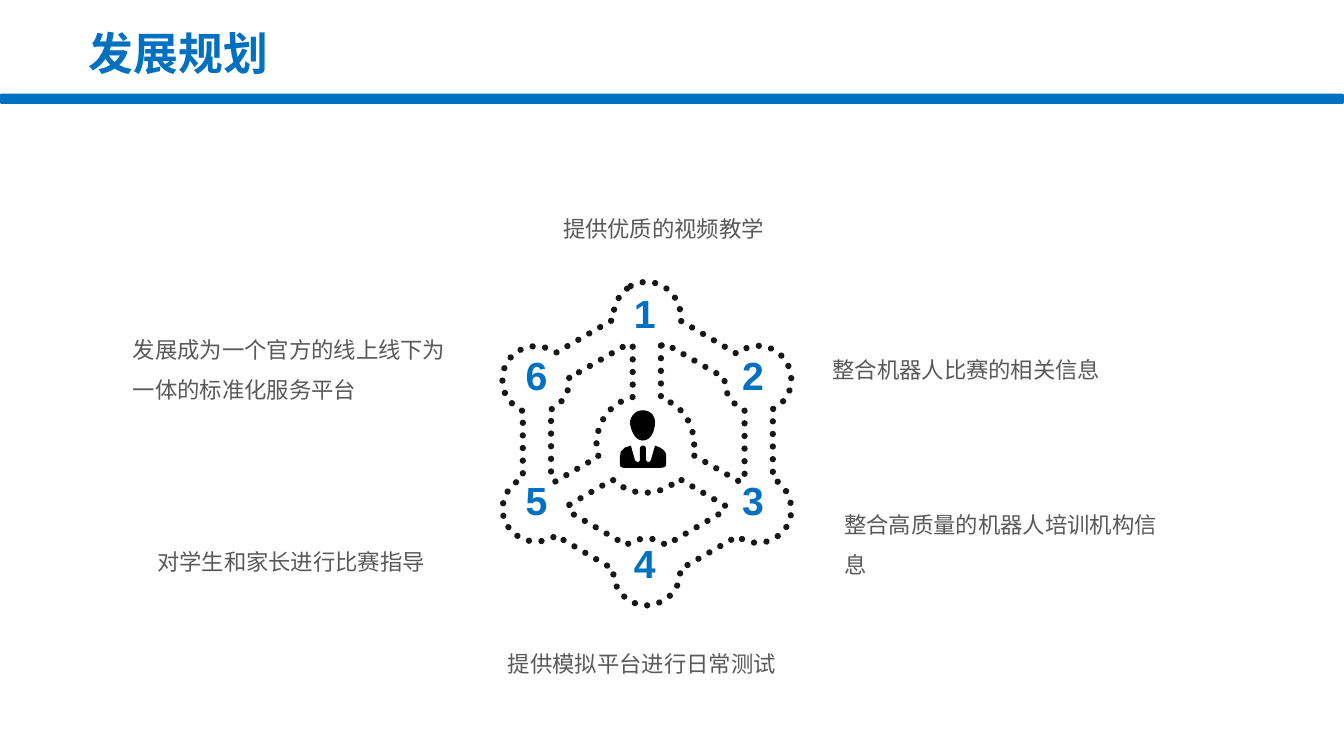
import math

import lxml.etree
import pptx
import pptx.dml.color
import pptx.enum.dml
import pptx.enum.shapes
import pptx.enum.text
import pptx.oxml.ns
import pptx.util

Cm = pptx.util.Cm
BLUE = "0070C0"
CHINESE_FONT = "Noto Sans CJK SC"
UNITS_PER_INCH = 100

LOWER_GAP = """
66,221 C 67,223 67,226 66,228 L 123,261 C 124,260 125,259 126,259
C 138,252 152,253 162,261 L 220,227 L 221,222 L 175,195
C 166,204 154,209 141,209 C 129,209 118,204 109,196
"""
RIGHT_GAP = """
157,63 L 157,115 C 176,121 190,139 190,161 C 190,164 189,168 188,171
L 235,198 C 235,197 236,197 237,196 L 240,195 L 240,127
C 234,124 228,120 224,113 C 221,107 220,101 220,95 L 161,61
C 161,61 160,62 160,62
"""
LEFT_GAP = """
66,95 C 67,107 61,119 49,126 L 48,126 L 48,195 L 52,198 L 95,173
C 94,169 93,165 93,161 C 93,138 108,119 129,114 L 129,63
C 128,62 126,62 125,61
"""
OUTER_EDGE = """
127,4 C 143,-5 163,1 172,17 C 176,23 177,31 176,38 L 232,71
C 234,69 235,68 237,68 C 252,58 273,64 282,80 C 291,96 286,116 270,125
L 268,126 L 268,195 C 274,198 279,203 282,209 C 291,225 286,245 270,254
C 258,261 243,260 233,252 L 176,285 C 177,297 171,310 159,316
C 144,326 123,320 114,304 C 111,298 109,291 110,285 L 52,251
C 52,252 51,253 50,253 C 34,262 14,257 4,241 C -5,225 1,205 17,196
L 20,194 L 20,128 C 14,125 8,120 4,114 C -5,98 0,77 16,68
C 28,61 43,63 53,70 L 110,37 C 109,24 115,11 127,4
"""
PERSON_BODY = """
45,41 L 43,39 L 40,37 L 35,35 L 31,49 C 30,52 27,52 26,49 L 26,38
C 26,34 20,34 20,38 L 20,49 C 20,52 16,52 15,49 L 11,35 L 5,37 L 1,41
L 0,47 L 0,53 C 0,56 2,57 4,57 L 41,57 C 44,57 46,56 46,53 L 46,44
"""
PERSON_HEAD = """
10,12 C 11,5 16,0 23,0 C 30,0 35,5 35,12 C 35,20 31,30 23,30
C 15,30 11,20 10,12
"""

LABELS = [
    ("提供优质的视频教学", 13.94, 4.95, 9.09, 1.27),
    ("整合机器人比赛的相关信息", 20.73, 8.51, 8.81, 1.27),
    ("整合高质量的机器人培训机构信息", 21.03, 12.42, 8.81, 2.31),
    ("提供模拟平台进行日常测试", 12.55, 15.93, 9.09, 1.27),
    ("对学生和家长进行比赛指导", 3.71, 13.34, 8.81, 1.27),
    ("发展成为一个官方的线上线下为一体的标准化服务平台", 3.1, 8, 8.81, 2.31),
]


def color(hex_string):
    """Return the colour for a hex string."""
    return pptx.dml.color.RGBColor.from_string(hex_string)


def write_text(shape, text, size, hex_color, font_name=CHINESE_FONT, bold=False,
               line_spacing=1.0, wrap=True):
    """Write one formatted, left-aligned paragraph into a shape."""
    frame = shape.text_frame
    frame.word_wrap = wrap
    frame.auto_size = pptx.enum.text.MSO_AUTO_SIZE.NONE
    frame.vertical_anchor = pptx.enum.text.MSO_ANCHOR.TOP
    paragraph = frame.paragraphs[0]
    paragraph.alignment = pptx.enum.text.PP_ALIGN.LEFT
    paragraph.line_spacing = line_spacing
    run = paragraph.add_run()
    run.text = text
    run.font.size = pptx.util.Pt(size)
    run.font.bold = bold
    run.font.color.rgb = color(hex_color)
    run.font.name = font_name
    east_asian = lxml.etree.SubElement(run.font._element, pptx.oxml.ns.qn("a:ea"))
    east_asian.set("typeface", font_name)


def add_text(slide, text, left, top, width, height, **text_format):
    """Add a text box, placed in centimetres."""
    box = slide.shapes.add_textbox(Cm(left), Cm(top), Cm(width), Cm(height))
    write_text(box, text, **text_format)


def curve_points(start, controls, steps=8):
    """Return points along a cubic curve, without its start."""
    corners = [start, *controls]
    points = []
    for step in range(1, steps + 1):
        t = step / steps
        weights = [math.comb(3, k) * t**k * (1 - t) ** (3 - k) for k in range(4)]
        points.append(tuple(sum(weight * corner[axis] for weight, corner in zip(weights, corners))
                            for axis in range(2)))
    return points


def read_contour(contour):
    """Turn a start point and its L and C commands into points in EMU."""
    unit = Cm(2.54) / UNITS_PER_INCH
    points, controls, command = [], [], "L"
    for token in contour.split():
        if token in "LC":
            command = token
            continue
        point = tuple(int(number) * unit for number in token.split(","))
        if command == "L":
            points.append(point)
            continue
        controls.append(point)
        if len(controls) == 3:
            points += curve_points(points[-1], controls)
            controls = []
    return points


def add_outline(slide, contours, left, top):
    """Add a closed freeform whose origin is given in centimetres."""
    first, *others = [read_contour(contour) for contour in contours]
    builder = slide.shapes.build_freeform(*first[0])
    builder.add_line_segments(first[1:], close=True)
    for points in others:
        builder.move_to(*points[0])
        builder.add_line_segments(points[1:], close=True)
    shape = builder.convert_to_shape(Cm(left), Cm(top))
    shape.shadow.inherit = False
    return shape


def add_header(slide, left, top, width, height):
    """Place the title and the full-width bar in the header box."""
    title = slide.shapes.title
    title.left, title.top = Cm(left + 1.98), Cm(top + 0.51)
    title.width, title.height = Cm(5.03), Cm(1.63)
    write_text(title, "发展规划", size=32, hex_color=BLUE, bold=True, wrap=False)
    thickness = 0.26
    bar = slide.shapes.add_shape(pptx.enum.shapes.MSO_SHAPE.ROUNDED_RECTANGLE, Cm(left),
                                 Cm(top + height - thickness), Cm(width), Cm(thickness))
    bar.shadow.inherit = False
    bar.fill.solid()
    bar.fill.fore_color.rgb = color(BLUE)
    bar.line.fill.background()


def add_network(slide, left, top):
    """Draw the dotted six-point network with its person and numbers."""
    network = add_outline(slide, [LOWER_GAP, RIGHT_GAP, LEFT_GAP, OUTER_EDGE], left, top)
    network.fill.background()
    network.line.color.rgb = color("181715")
    network.line.width = pptx.util.Pt(4.5)
    network.line.dash_style = pptx.enum.dml.MSO_LINE.ROUND_DOT
    network.line._get_or_add_ln().set("cap", "rnd")

    person = add_outline(slide, [PERSON_BODY, PERSON_HEAD], left + 2.95, top + 3.23)
    person.fill.solid()
    person.fill.fore_color.rgb = color("010101")
    person.line.fill.background()

    center_x, center_y, radius = left + 3.79, top + 3.93, 3.15
    width, height = 1.47, 1.45
    for index in range(6):
        angle = math.radians(60 * index)
        add_text(slide, str(index + 1),
                 center_x + radius * math.sin(angle) - width / 2,
                 center_y - radius * math.cos(angle) - height / 2,
                 width, height, size=28, hex_color=BLUE, font_name="Arial", bold=True)


def add_labels(slide):
    """Place the six goals around the network."""
    for text, *box in LABELS:
        add_text(slide, text, *box, size=16, hex_color="595959", line_spacing=1.5)


def main():
    """Build and save the presentation."""
    presentation = pptx.Presentation()
    presentation.slide_width, presentation.slide_height = Cm(33.87), Cm(19.05)
    slide = presentation.slides.add_slide(presentation.slide_layouts[5])
    add_header(slide, 0, 0, 33.87, 2.62)
    add_network(slide, 12.67, 7.11)
    add_labels(slide)
    presentation.save("out.pptx")


if __name__ == "__main__":
    main()
